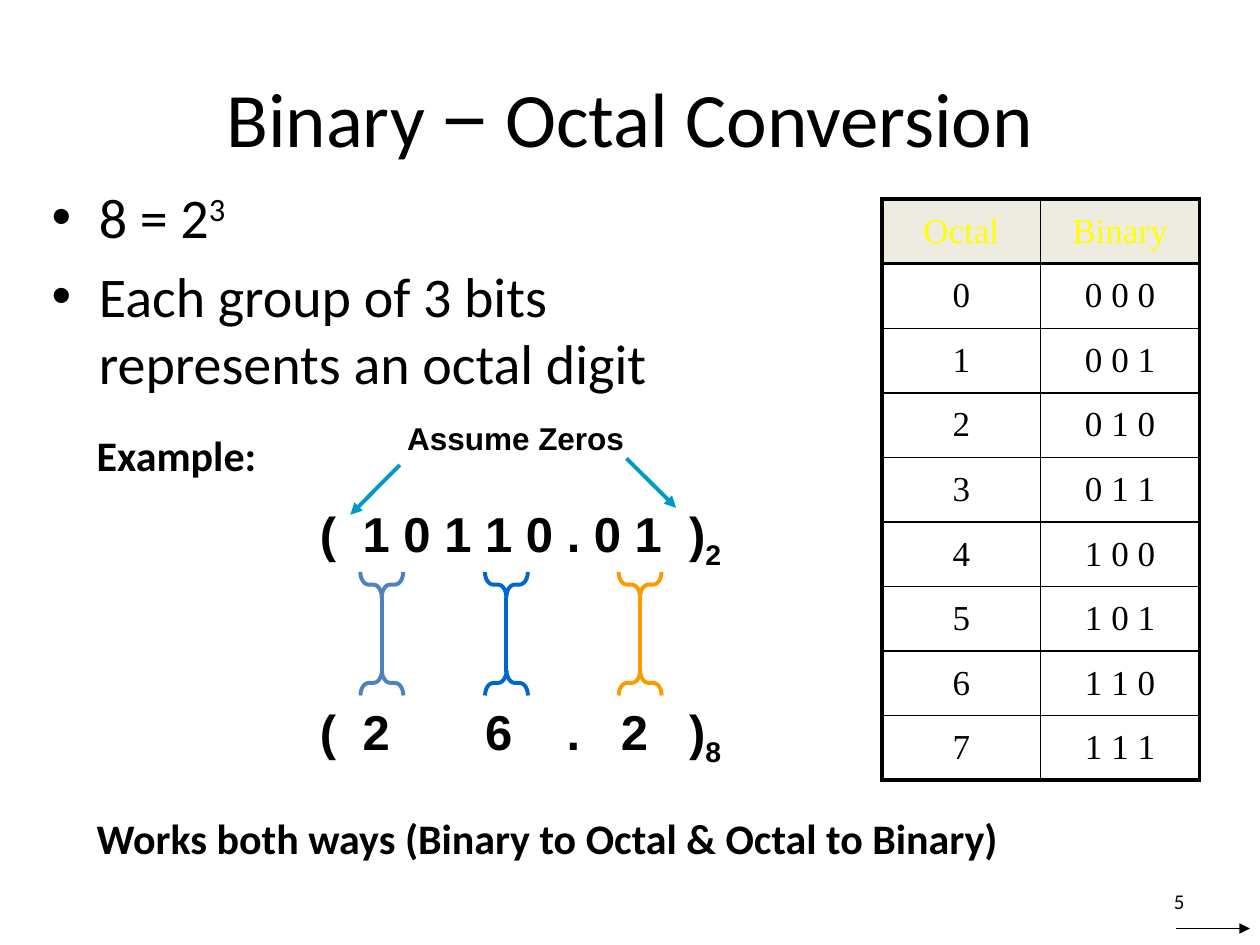
"""Build a slide on converting between binary and octal numbers."""
from dataclasses import dataclass

from lxml.etree import SubElement as Sub
from pptx import Presentation
from pptx.dml.color import RGBColor as Rgb
from pptx.enum.shapes import MSO_CONNECTOR as Conn, MSO_SHAPE as Form
from pptx.enum.text import MSO_ANCHOR as Anchor, PP_ALIGN as Align
from pptx.oxml.ns import qn
from pptx.util import Pt


@dataclass(frozen=True)
class Theme:
    black: str = "000000"
    head: str = "EEECE1"
    yellow: str = "FFFF00"
    arrow: str = "0099CC"
    left: str = "4F81BD"
    mid: str = "0066CC"
    right: str = "FF9900"
    body: str = "Calibri"
    sans: str = "Arial"
    serif: str = "Times New Roman"
    title: int = 44
    point: int = 32
    sum: int = 28
    note: int = 24
    cell: int = 20
    hint: int = 18
    page: int = 12
    thin: float = 0.75
    rule: float = 1
    thick: float = 2.25


T = Theme()


def style(para, size, face=None, bold=False, color=T.black):
    font = para.font
    font.size, font.bold = Pt(size), bold
    font.color.rgb = Rgb.from_string(color)
    if face:
        font.name = face


def add_box(slide, area, pad=(7.2, 3.6), anchor=Anchor.TOP):
    frame = slide.shapes.add_textbox(*map(Pt, area)).text_frame
    frame.word_wrap = True
    frame.vertical_anchor = anchor
    frame.margin_left = frame.margin_right = Pt(pad[0])
    frame.margin_top = frame.margin_bottom = Pt(pad[1])
    return frame


def add_text(slide, area, text, size, face=T.body, bold=True,
             align=Align.LEFT, **kind):
    para = add_box(slide, area, **kind).paragraphs[0]
    para.add_run().text = text
    para.alignment = align
    style(para, size, face, bold)
    return para


def add_shift(para, text, base):
    run = para.add_run()
    run.text = text
    run._r.get_or_add_rPr().set("baseline", str(base * 1000))


def add_title(slide):
    frame = add_box(slide, (36, 21.6, 648, 90), anchor=Anchor.MIDDLE)
    para = frame.paragraphs[0]
    para.alignment = Align.CENTER
    style(para, T.title)
    parts = ("Binary ", T.body), ("−", T.sans), (" Octal Conversion", T.body)
    for text, face in parts:
        run = para.add_run()
        run.text, run.font.name = text, face


def add_points(slide):
    frame = add_box(slide, (24.5, 102.2, 425.5, 128), pad=(5, 2.2))
    first, last = frame.paragraphs[0], frame.add_paragraph()
    first.add_run().text = "8 = 2"
    add_shift(first, "3", 30)
    last.add_run().text = "Each group of 3 bits represents an octal digit"
    for para in (first, last):
        props = para._p.get_or_add_pPr()
        props.set("marL", str(Pt(27)))
        props.set("indent", str(Pt(-27)))
        Sub(props, qn("a:buFont"), typeface=T.sans)
        Sub(props, qn("a:buChar"), char="•")
        style(para, T.point, T.body)
    last.space_before = Pt(6.4)


def add_sum(slide, top, text, base, stops):
    para = add_box(slide, (175.7, top, 270, 41)).paragraphs[0]
    para.add_run().text = text
    add_shift(para, base, -25)
    tabs = Sub(para._p.get_or_add_pPr(), qn("a:tabLst"))
    for stop in stops:
        Sub(tabs, qn("a:tab"), pos=str(Pt(stop)), algn="l")
    style(para, T.sum, T.sans, True)


def add_line(slide, start, end, color, width, arrow=False):
    ends = map(Pt, (*start, *end))
    line = slide.shapes.add_connector(Conn.STRAIGHT, *ends)
    line.line.color.rgb = Rgb.from_string(color)
    line.line.width = Pt(width)
    if arrow:
        Sub(line.line._get_or_add_ln(), qn("a:tailEnd"), type="triangle")
    Sub(line._element.spPr, qn("a:effectLst"))


def add_brace(slide, mid, top, turn, color):
    wide, high = 14.4, 24.5
    area = map(Pt, (mid - wide / 2, top, wide, high))
    brace = slide.shapes.add_shape(Form.LEFT_BRACE, *area)
    brace.rotation = turn
    brace.adjustments[0] = 0.33
    brace.shadow.inherit = False
    brace.fill.background()
    brace.line.color.rgb = Rgb.from_string(color)
    brace.line.width = Pt(T.thick)


def add_link(slide, mid, color):
    add_brace(slide, mid, 321.8, 270, color)
    add_brace(slide, mid, 378, 90, color)
    add_line(slide, (mid, 341.3), (mid, 383.8), color, T.thick)


def add_edge(cell, side, width):
    line = Sub(cell._tc.get_or_add_tcPr(), qn(f"a:ln{side}"), w=str(Pt(width)))
    fill = Sub(line, qn("a:solidFill"))
    Sub(fill, qn("a:srgbClr"), val=T.black)


def fill_cell(cell, text, head, edges):
    cell.margin_left = cell.margin_right = 0
    cell.margin_top = cell.margin_bottom = 0
    cell.vertical_anchor = Anchor.MIDDLE
    for side, bold in edges.items():
        add_edge(cell, side, T.thick if bold else T.rule)
    if head:
        cell.fill.solid()
        cell.fill.fore_color.rgb = Rgb.from_string(T.head)
    else:
        cell.fill.background()
    para = cell.text_frame.paragraphs[0]
    para.add_run().text = text
    para.alignment = Align.CENTER
    style(para, T.cell, T.serif, color=T.yellow if head else T.black)


def add_grid(slide):
    rows = [("Octal", "Binary")]
    rows += [(str(n), " ".join(f"{n:03b}")) for n in range(8)]
    count, wide, high = len(rows), 90.7, 36.9
    area = map(Pt, (504, 113.8, 2 * wide, count * high))
    grid = slide.shapes.add_table(count, 2, *area).table
    for col in grid.columns:
        col.width = Pt(wide)
    for r, row in enumerate(rows):
        grid.rows[r].height = Pt(high)
        for c, text in enumerate(row):
            edges = {"L": c == 0, "R": c == 1, "T": r < 2,
                     "B": r in (0, count - 1)}
            fill_cell(grid.cell(r, c), text, r == 0, edges)


def main():
    deck = Presentation()
    deck.slide_width, deck.slide_height = Pt(720), Pt(540)
    slide = deck.slides.add_slide(deck.slide_layouts[6])
    add_title(slide)
    add_points(slide)
    add_line(slide, (671.8, 530.6), (714.2, 530.6), T.black, T.thin, True)
    add_grid(slide)
    add_text(slide, (48.2, 242, 120, 36), "Example:", T.note)
    add_sum(slide, 284.4, "(\t1 0 1 1 0 . 0 1\t)", "2", (24.5, 211))
    add_sum(slide, 397.4, "(\t2\t6\t.\t2\t)", "8",
            (24.5, 94.5, 141, 172, 211))
    for mid, color in (365.8, T.right), (289.4, T.mid), (218.2, T.left):
        add_link(slide, mid, color)
    add_line(slide, (228.5, 265.7), (200.2, 294.2), T.arrow, T.thick, True)
    add_line(slide, (358, 261.9), (386.4, 290.2), T.arrow, T.thick, True)
    hint = add_text(slide, (232.6, 241.9, 142, 19.4), "Assume Zeros",
                    T.hint, T.sans, pad=(0, 0))
    hint.line_spacing = 0.9
    add_text(slide, (48.2, 460.8, 567.4, 36),
             "Works both ways (Binary to Octal & Octal to Binary)", T.note)
    add_text(slide, (516.2, 500.4, 167.8, 28.8), "5", T.page, bold=False,
             align=Align.RIGHT, anchor=Anchor.MIDDLE)
    deck.save("out.pptx")


if __name__ == "__main__":
    main()
